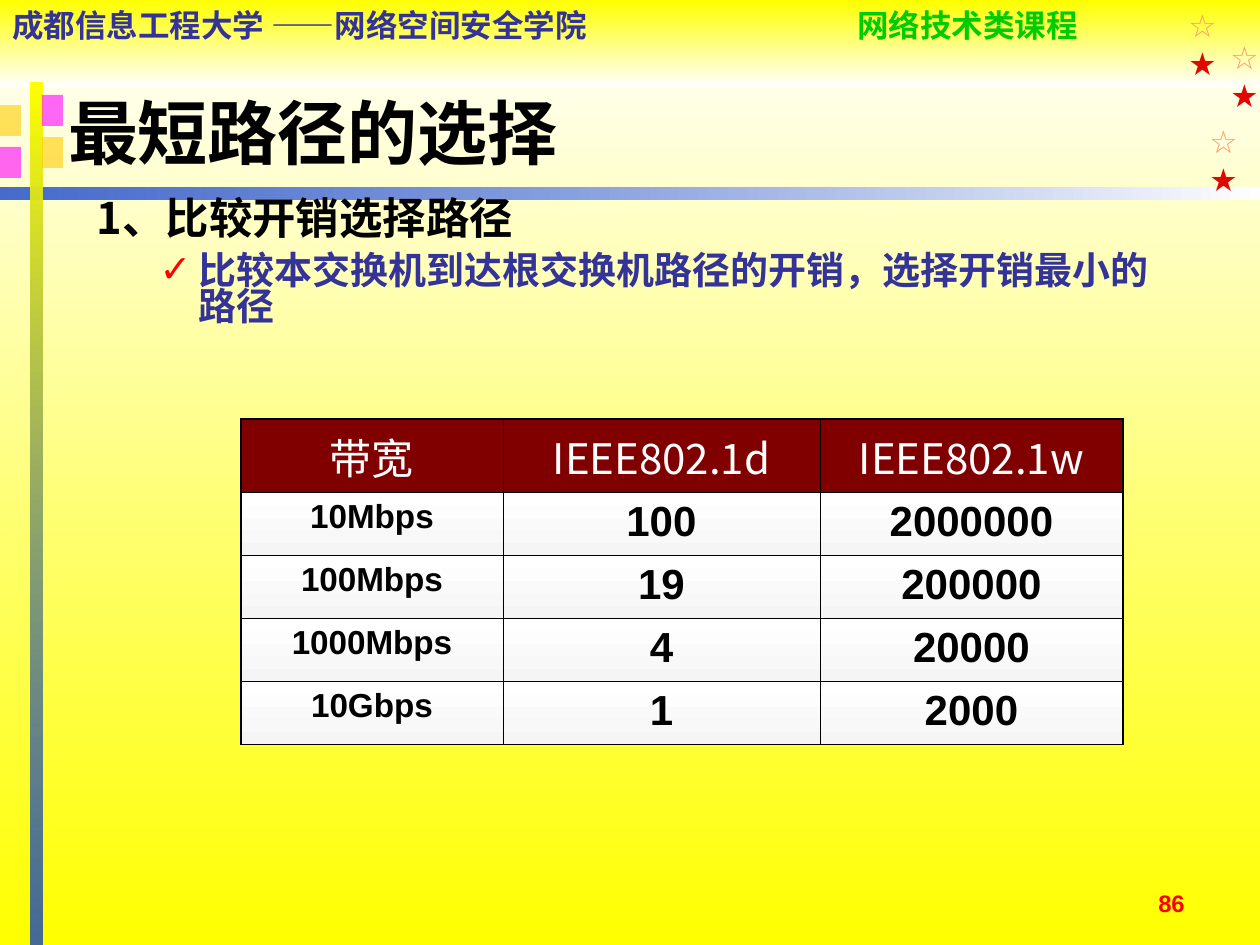
from typing import NamedTuple

from lxml.etree import SubElement
from pptx import Presentation
from pptx.dml.color import RGBColor
from pptx.enum.shapes import MSO_SHAPE
from pptx.enum.text import MSO_ANCHOR, MSO_AUTO_SIZE, PP_ALIGN
from pptx.oxml.ns import qn
from pptx.util import Emu, Pt

SCALE = 914400 / 126
CJK = "Noto Sans CJK SC"
HEX = {
    "yellow": "FFFF00", "white": "FFFFFF", "black": "000000", "blue": "0033CC",
    "navy": "333399", "green": "00CC00", "pink": "FF00FF", "gold": "FFCC00",
    "peach": "FF9966", "star": "DF0803", "red": "FF0000", "maroon": "800000",
    "pale": "F5F5F5",
}


class Box(NamedTuple):
    x: int
    y: int
    w: int
    h: int


class Style(NamedTuple):
    size: float
    color: str
    bold: bool = True
    face: str = "Arial"
    east: str = CJK


class Bar(NamedTuple):
    box: Box
    colors: tuple
    angle: int = 0
    alpha: int = 100


def px(n: float) -> Emu:
    return Emu(round(n * SCALE))


def rgb(name: str) -> RGBColor:
    return RGBColor.from_string(HEX[name])


def paint(fill, colors: tuple, angle: int = 0) -> None:
    """One colour gives a solid fill, two give a gradient."""
    if len(colors) == 1:
        fill.solid()
        fill.fore_color.rgb = rgb(colors[0])
        return
    fill.gradient()
    fill.gradient_angle = angle
    for stop, color in zip(fill.gradient_stops, colors):
        stop.color.rgb = rgb(color)


def ink(run, style: Style) -> None:
    font = run.font
    font.size, font.bold, font.name = Pt(style.size), style.bold, style.face
    font.color.rgb = rgb(style.color)
    if style.east:
        SubElement(run._r.get_or_add_rPr(), qn("a:ea"), typeface=style.east)


def write(para, parts: list, align=PP_ALIGN.LEFT) -> None:
    para.alignment = align
    for text, style in parts:
        run = para.add_run()
        run.text = text
        ink(run, style)


def place(shape, box: Box) -> None:
    shape.left, shape.top, shape.width, shape.height = map(px, box)


def draw_bar(slide, bar: Bar):
    shape = slide.shapes.add_shape(MSO_SHAPE.RECTANGLE, *map(px, bar.box))
    shape.shadow.inherit = False
    shape.line.fill.background()
    paint(shape.fill, bar.colors, bar.angle)
    if bar.alpha < 100:
        first = next(shape._element.spPr.iter(qn("a:srgbClr")))
        SubElement(first, qn("a:alpha"), val=str(bar.alpha * 1000))
    return shape


def draw_text(slide, box: Box, parts: list, align=PP_ALIGN.LEFT) -> None:
    frame = slide.shapes.add_textbox(*map(px, box)).text_frame
    frame.word_wrap = True
    write(frame.paragraphs[0], parts, align)


def indent(para, left: int, hang: int, mark: str = "") -> None:
    props = para._p.get_or_add_pPr()
    props.set("marL", str(px(left)))
    props.set("indent", str(px(-hang)))
    if mark:
        tint = SubElement(props, qn("a:buClr"))
        SubElement(tint, qn("a:srgbClr"), val=HEX["red"])
        SubElement(props, qn("a:buChar"), char=mark)
    else:
        SubElement(props, qn("a:buNone"))


def edge(cell, widths: list) -> None:
    """Border widths run left, right, top, bottom."""
    props = cell._tc.get_or_add_tcPr()
    for i, (side, width) in enumerate(zip("LRTB", widths)):
        line = SubElement(props, qn(f"a:ln{side}"), w=str(Pt(width)))
        solid = SubElement(line, qn("a:solidFill"))
        SubElement(solid, qn("a:srgbClr"), val=HEX["black"])
        props.insert(i, line)


def draw_table(slide, box: Box, cols: list, rows: list) -> None:
    grid = slide.shapes.add_table(len(rows), len(cols), *map(px, box)).table
    grid.horz_banding = False
    for col, width in zip(grid.columns, cols):
        col.width = px(width)
    thick, thin = 1.08, 0.45
    for r, row in enumerate(rows):
        for c, text in enumerate(row):
            cell = grid.cell(r, c)
            if r == 0:
                style = Style(24, "white", False, CJK)
                paint(cell.fill, ("maroon",))
            else:
                style = Style(19 if c == 0 else 24, "black")
                paint(cell.fill, ("white", "pale"), 270)
            write(cell.text_frame.paragraphs[0], [(text, style)], PP_ALIGN.CENTER)
            outer = [c == 0, c == len(cols) - 1, r == 0, r == len(rows) - 1]
            edge(cell, [thick if out else thin for out in outer])


def main() -> None:
    deck = Presentation()
    deck.slide_width, deck.slide_height = px(1260), px(945)
    slide = deck.slides.add_slide(deck.slide_layouts[1])
    paint(slide.background.fill, ("white", "yellow"), 270)

    # Header band
    band = draw_bar(slide, Bar(Box(0, 0, 1260, 88), ("yellow", "white"), 270))
    frame = band.text_frame
    frame.vertical_anchor = MSO_ANCHOR.TOP
    head = frame.paragraphs[0]
    tabs = SubElement(head._p.get_or_add_pPr(), qn("a:tabLst"))
    SubElement(tabs, qn("a:tab"), pos=str(px(845)), algn="l")
    write(head, [("成都信息工程大学 ——网络空间安全学院\t", Style(18, "navy")),
                 ("网络技术类课程", Style(18, "green"))])

    # Rules and corner squares
    draw_bar(slide, Bar(Box(0, 188, 1260, 12), ("blue", "white"), 0, 72))
    draw_bar(slide, Bar(Box(31, 83, 12, 862), ("blue", "yellow"), 90, 73))
    for x, y, color in [(42, 95, "pink"), (42, 137, "gold"),
                        (0, 105, "gold"), (0, 147, "pink")]:
        draw_bar(slide, Bar(Box(x, y, 21, 31), (color,), 0, 60))

    # Star pairs
    stars = [("☆", Style(18, "peach", False, east="")),
             ("★", Style(18, "star", False, east=""))]
    for x, y in [(1176, 0), (1218, 32), (1197, 116)]:
        draw_text(slide, Box(x, y, 42, 88), stars)

    # Page number
    draw_text(slide, Box(903, 882, 294, 44), [("86", Style(13.6, "red"))],
              PP_ALIGN.RIGHT)

    # Title and list, in front of the rules
    title, body = slide.shapes.title, slide.placeholders[1]
    for shape, box in [(title, Box(63, 84, 1134, 95)),
                       (body, Box(84, 195, 1111, 179))]:
        place(shape, box)
        shape.text_frame.auto_size = MSO_AUTO_SIZE.NONE
        slide.shapes._spTree.append(shape._element)
    frame = title.text_frame
    frame.vertical_anchor = MSO_ANCHOR.MIDDLE
    frame.margin_left = frame.margin_right = px(5)
    write(frame.paragraphs[0], [("最短路径的选择", Style(40, "black"))])

    frame = body.text_frame
    lead, item = frame.paragraphs[0], frame.add_paragraph()
    item.level = 1
    indent(lead, 48, 48)
    indent(item, 102, 39, "✓")
    for para, gap in [(lead, 0), (item, 7)]:
        para.line_spacing, para.space_before = 0.8, Pt(gap)
    write(lead, [("1、比较开销选择路径", Style(24.8, "black", face=CJK))])
    write(item, [("比较本交换机到达根交换机路径的开销，选择开销最小的路径",
                  Style(21.7, "navy", face=CJK))])

    # Path cost table
    draw_table(slide, Box(241, 419, 882, 315), [262, 317, 303], [
        ("带宽", "IEEE802.1d", "IEEE802.1w"),
        ("10Mbps", "100", "2000000"),
        ("100Mbps", "19", "200000"),
        ("1000Mbps", "4", "20000"),
        ("10Gbps", "1", "2000"),
    ])
    deck.save("out.pptx")


if __name__ == "__main__":
    main()
